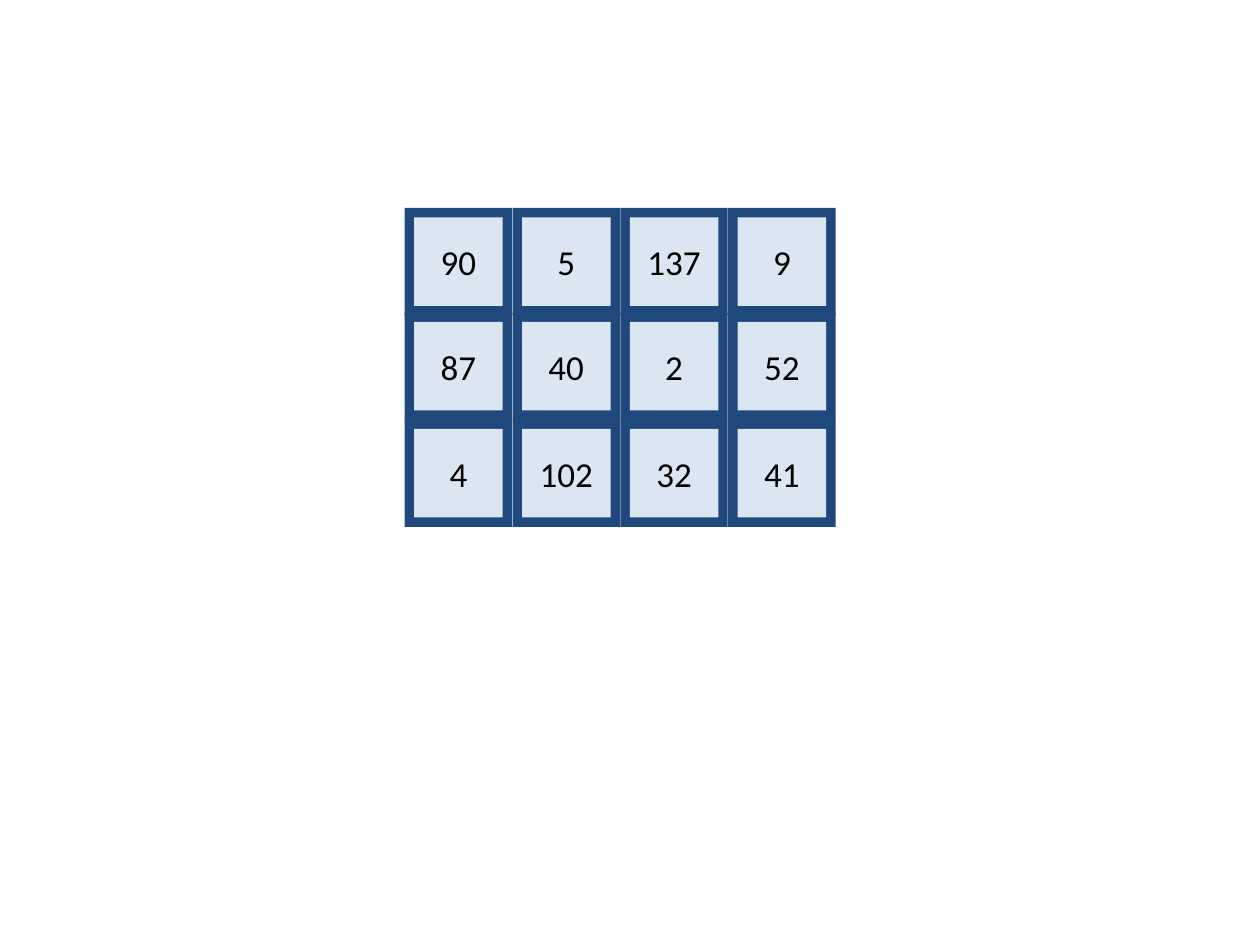
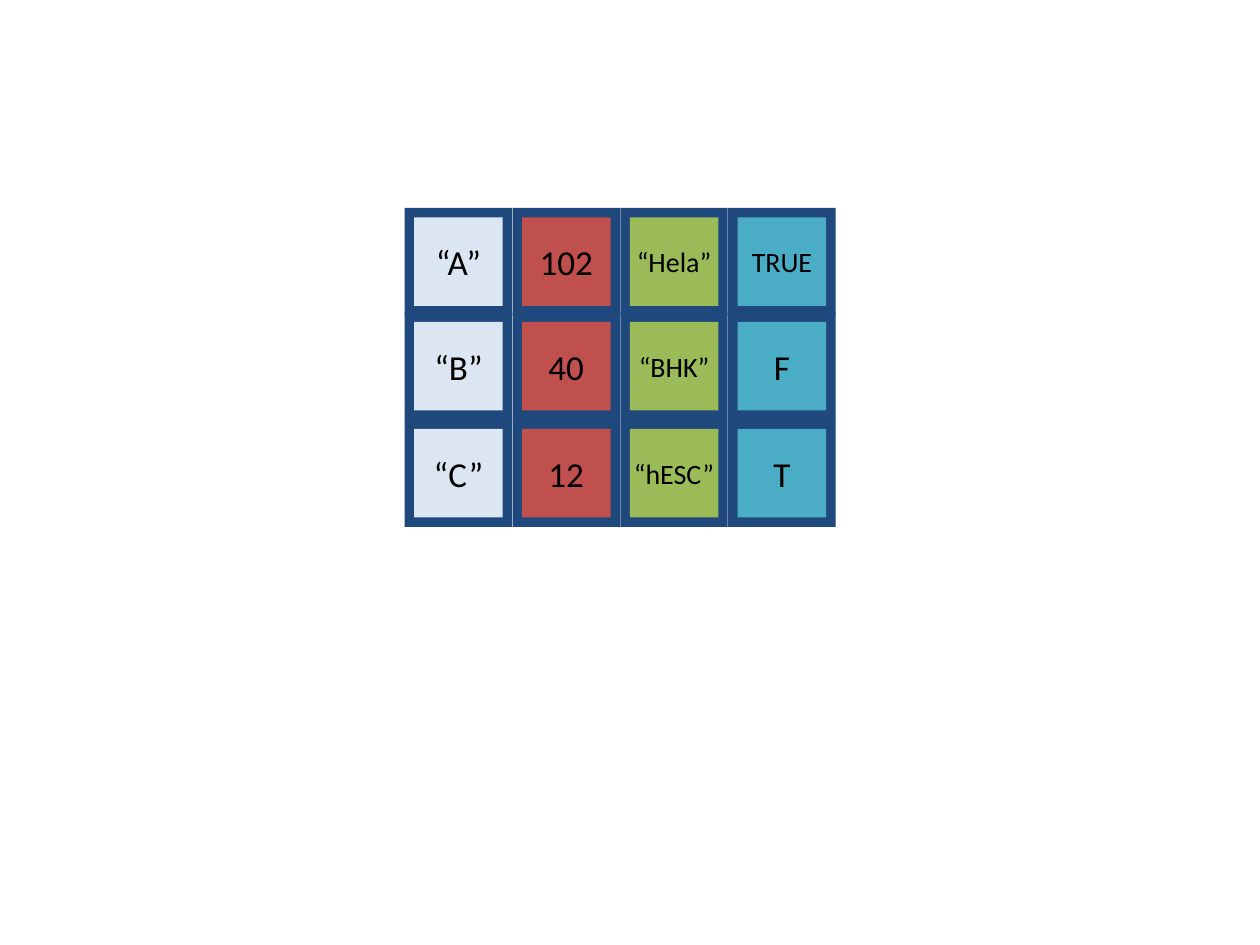
from dataclasses import dataclass

from pptx import Presentation
from pptx.dml.color import RGBColor
from pptx.enum.shapes import MSO_SHAPE
from pptx.enum.text import MSO_ANCHOR, PP_ALIGN
from pptx.shapes.autoshape import Shape
from pptx.shapes.group import GroupShape
from pptx.util import Pt

RECT = MSO_SHAPE.RECTANGLE
MIDDLE = MSO_ANCHOR.MIDDLE
CENTER = PP_ALIGN.CENTER

FONT = "Calibri"
NAVY, PALE, BLACK = "1F497D", "DCE6F2", "000000"
RED, GREEN, TEAL = "C0504D", "9BBB59", "4BACC6"

GRID_LEFT = 231.3
COLUMN_PITCH = 61.6
ROW_TOPS = (118.8, 178.6, 239.7)
TILE = 61.4
FRAME = 5.4
FACE = TILE - 2 * FRAME


@dataclass(frozen=True)
class Column:
    values: tuple[str, ...]
    fill: str = PALE
    sizes: tuple[int, ...] = (20, 20, 20)
    side_inset: float = 7.2


MATRIX = (
    Column(("90", "87", "4")),
    Column(("5", "40", "102")),
    Column(("137", "2", "32")),
    Column(("9", "52", "41")),
)
DATA_FRAME = (
    Column(("“A”", "“B”", "“C”")),
    Column(("102", "40", "12"), RED),
    Column(("“Hela”", "“BHK”", "“hESC”"), GREEN, (16, 16, 16), 0),
    Column(("TRUE", "F", "T"), TEAL, (16, 20, 20)),
)


def rgb(color: str) -> RGBColor:
    return RGBColor.from_string(color)


def add_square(group: GroupShape, left: float, top: float, side: float, fill: str) -> Shape:
    sp = group.shapes.add_shape(RECT, Pt(left), Pt(top), Pt(side), Pt(side))
    sp.shadow.inherit = False
    sp.fill.solid()
    sp.fill.fore_color.rgb = rgb(fill)
    sp.line.fill.background()
    return sp


def set_text(sp: Shape, text: str, *, size: float = 20, color: str = BLACK,
             side_inset: float = 7.2) -> None:
    tf = sp.text_frame
    tf.word_wrap = True
    tf.vertical_anchor = MIDDLE
    tf.margin_left = tf.margin_right = Pt(side_inset)
    tf.margin_top = tf.margin_bottom = Pt(3.6)
    p = tf.paragraphs[0]
    p.alignment = CENTER
    r = p.add_run()
    r.text = text
    r.font.name = FONT
    r.font.size = Pt(size)
    r.font.color.rgb = rgb(color)


def add_column(group: GroupShape, left: float, column: Column) -> None:
    for top, value, size in zip(ROW_TOPS, column.values, column.sizes):
        add_square(group, left, top, TILE, NAVY)
        face = add_square(group, left + FRAME, top + FRAME, FACE, column.fill)
        set_text(face, value, size=size, side_inset=column.side_inset)


def main() -> None:
    prs = Presentation()
    prs.slide_width, prs.slide_height = Pt(720), Pt(540)
    for columns in (MATRIX, DATA_FRAME):
        s = prs.slides.add_slide(prs.slide_layouts[6])
        group = s.shapes.add_group_shape()
        for i, column in enumerate(columns):
            add_column(group, GRID_LEFT + i * COLUMN_PITCH, column)
    prs.save("out.pptx")


if __name__ == "__main__":
    main()
